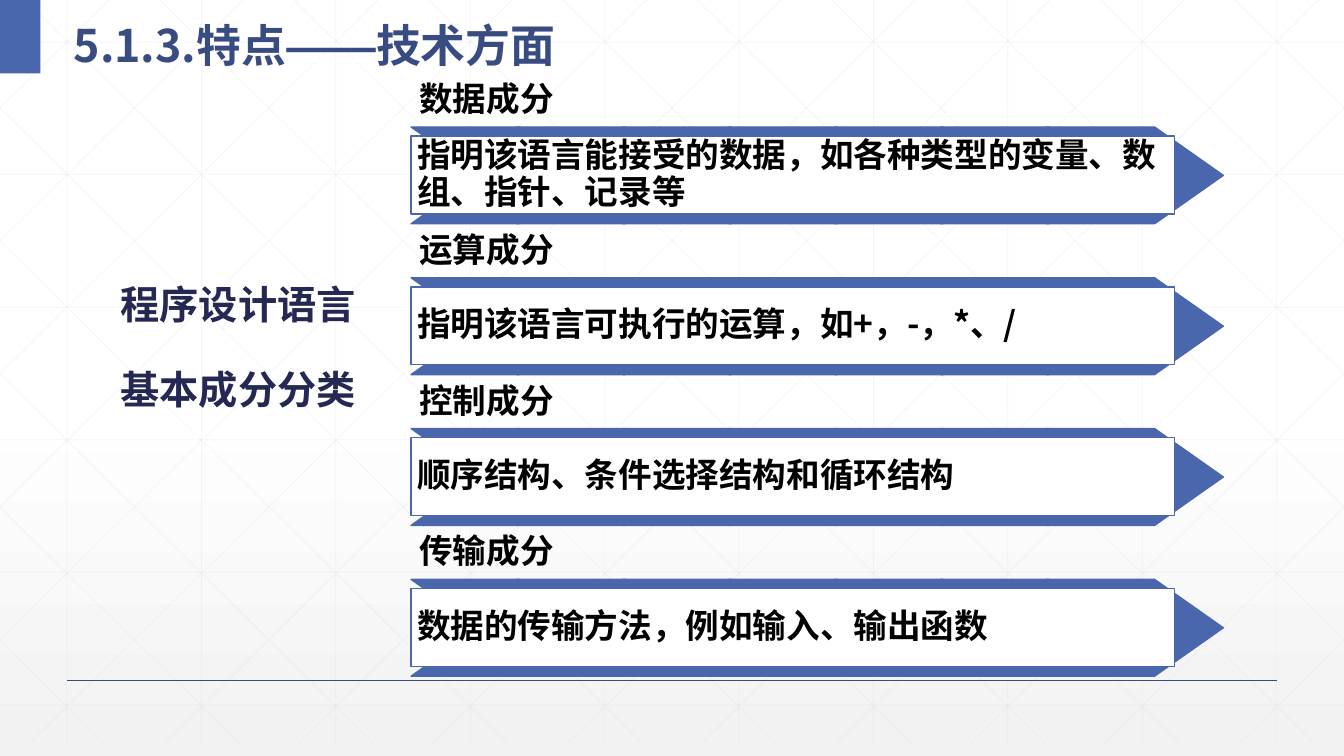
from dataclasses import dataclass

from lxml import etree
from pptx import Presentation
from pptx.dml.color import RGBColor
from pptx.enum.shapes import MSO_CONNECTOR, MSO_SHAPE
from pptx.enum.text import MSO_ANCHOR, MSO_AUTO_SIZE, PP_ALIGN
from pptx.oxml.ns import qn
from pptx.util import Cm, Pt

STRAIGHT = MSO_CONNECTOR.STRAIGHT
RECTANGLE = MSO_SHAPE.RECTANGLE
CHEVRON = MSO_SHAPE.CHEVRON
MIDDLE = MSO_ANCHOR.MIDDLE
BOTTOM = MSO_ANCHOR.BOTTOM
LEFT = PP_ALIGN.LEFT
NO_AUTOFIT = MSO_AUTO_SIZE.NONE


@dataclass(frozen=True)
class Theme:
    white: RGBColor = RGBColor.from_string("FFFFFF")
    shade: RGBColor = RGBColor.from_string("F2F2F2")
    grid: RGBColor = RGBColor.from_string("D9D9D9")
    accent: RGBColor = RGBColor.from_string("4A66AC")
    heading: RGBColor = RGBColor.from_string("384C81")
    topic: RGBColor = RGBColor.from_string("242852")
    body: RGBColor = RGBColor.from_string("000000")
    title_size: int = 32
    topic_size: int = 28
    body_size: int = 24
    latin_font: str = "Arial"
    chinese_font: str = "Noto Sans CJK SC"


theme = Theme()


def write(shape, text, *, font, size, color, anchor=MIDDLE, inset=None,
          wrap=True, spacing=1.0, before=0):
    frame = shape.text_frame
    frame.auto_size = NO_AUTOFIT
    frame.word_wrap = wrap
    frame.vertical_anchor = anchor
    if inset is not None:
        frame.margin_left = frame.margin_right = Cm(inset)
        frame.margin_top = frame.margin_bottom = Cm(inset)
    paragraph = frame.paragraphs[-1]
    paragraph.alignment = LEFT
    paragraph.line_spacing = spacing
    paragraph.space_before = Pt(before)
    run = paragraph.add_run()
    run.text = text
    run.font.name = font
    run.font.size = Pt(size)
    run.font.bold = True
    run.font.color.rgb = color
    etree.SubElement(run.font._element, qn("a:ea"), typeface=font)


def draw_line(x1, y1, x2, y2, color, width, opacity=100):
    line = slide.shapes.add_connector(STRAIGHT, Cm(x1), Cm(y1), Cm(x2), Cm(y2))
    line.line.color.rgb = color
    line.line.width = Pt(width)
    properties = line.element.spPr
    etree.SubElement(properties, qn("a:effectLst"))
    color_element = properties.find(".//" + qn("a:srgbClr"))
    etree.SubElement(color_element, qn("a:alpha"), val=str(opacity * 1000))


slide_width = 33.87
slide_height = 19.05
presentation = Presentation()
presentation.slide_width = Cm(slide_width)
presentation.slide_height = Cm(slide_height)
slide = presentation.slides.add_slide(presentation.slide_layouts[5])

background = slide.background.fill
background.gradient()
background.gradient_angle = 270
for stop, position, color in zip(background.gradient_stops, (0.53, 1), (theme.white, theme.shade)):
    stop.position = position
    stop.color.rgb = color

grid_height = 18.73
grid_step = slide_width / 10
diagonal_run = 18.93
grid_style = {"color": theme.grid, "width": 0.5, "opacity": 25}
for column in range(10):
    x = 1.69 + column * grid_step
    draw_line(x, 0, x, grid_height, **grid_style)
for row in range(6):
    y = 1.06 + row * 3.34
    draw_line(0, y, slide_width, y, **grid_style)
for diagonal in range(-5, 10):
    start = 0.64 + diagonal * grid_step
    x1 = max(start, 0)
    x2 = min(start + diagonal_run, slide_width)
    y1, y2 = [(x - start) * grid_height / diagonal_run for x in (x1, x2)]
    draw_line(x1, y1, x2, y2, **grid_style)
    draw_line(slide_width - x1, y1, slide_width - x2, y2, **grid_style)

draw_line(1.69, 17.15, 32.18, 17.15, theme.heading, 1)
corner = slide.shapes.add_shape(RECTANGLE, 0, 0, Cm(1.02), Cm(1.85))
corner.shadow.inherit = False
corner.fill.solid()
corner.fill.fore_color.rgb = theme.accent
corner.line.fill.background()

title = slide.shapes.title
title.left, title.top, title.width, title.height = Cm(1.6), Cm(0), Cm(22.99), Cm(1.85)
slide.shapes.element.append(title.element)
title_style = {"size": theme.title_size, "color": theme.heading, "spacing": 1.3}
write(title, "5.1.3.", font=theme.chinese_font, **title_style)
write(title, "特点——技术方面", font=theme.latin_font, **title_style)

components = [
    ("数据成分", "指明该语言能接受的数据，如各种类型的变量、数组、指针、记录等"),
    ("运算成分", "指明该语言可执行的运算，如+，-，*、/"),
    ("控制成分", "顺序结构、条件选择结构和循环结构"),
    ("传输成分", "数据的传输方法，例如输入、输出函数"),
]
component_left = 10.36
component_style = {"font": theme.chinese_font, "size": theme.body_size,
                   "color": theme.body, "spacing": 0.9}
for row, (name, description) in enumerate(components):
    top = 2.01 + row * 3.8
    label = slide.shapes.add_textbox(Cm(component_left), Cm(top), Cm(19), Cm(1.19))
    write(label, name, anchor=BOTTOM, inset=0.21, **component_style)

    for column in range(7):
        chevron = slide.shapes.add_shape(
            CHEVRON, Cm(component_left + column * 2.67), Cm(top + 1.19), Cm(4.45), Cm(2.44))
        chevron.adjustments[0] = 0.71
        chevron.shadow.inherit = False
        chevron.fill.solid()
        chevron.fill.fore_color.rgb = theme.accent
        chevron.line.color.rgb = theme.accent
        chevron.line.width = Pt(1)

    panel = slide.shapes.add_shape(
        RECTANGLE, Cm(component_left), Cm(top + 1.42), Cm(19.24), Cm(1.96))
    panel.shadow.inherit = False
    panel.fill.solid()
    panel.fill.fore_color.rgb = theme.white
    panel.line.color.rgb = theme.accent
    panel.line.width = Pt(1)
    write(panel, description, inset=0.15, **component_style)

topic = slide.shapes.add_textbox(Cm(2.79), Cm(6.81), Cm(6.5), Cm(3.84))
topic_style = {"font": theme.latin_font, "size": theme.topic_size,
               "color": theme.topic, "wrap": False}
write(topic, "程序设计语言", **topic_style)
topic.text_frame.add_paragraph()
write(topic, "基本成分分类", before=27, **topic_style)

presentation.save("out.pptx")
